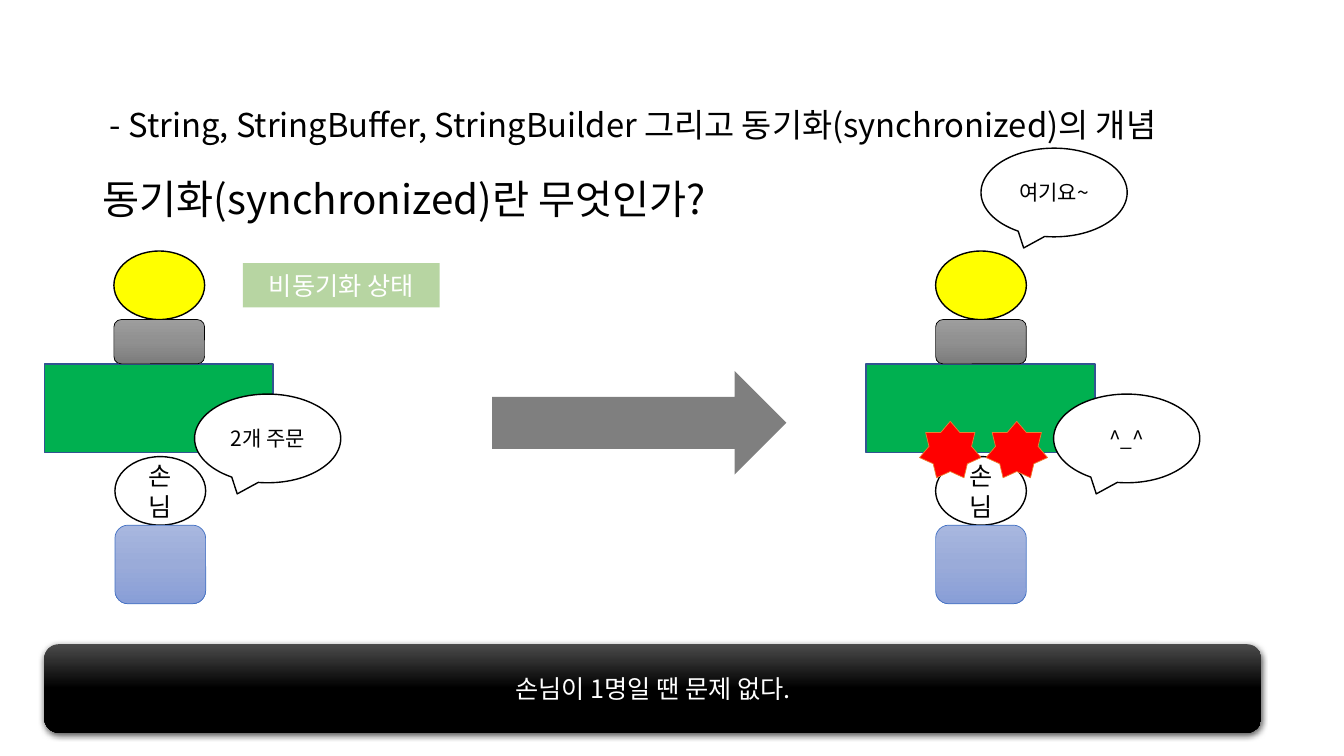
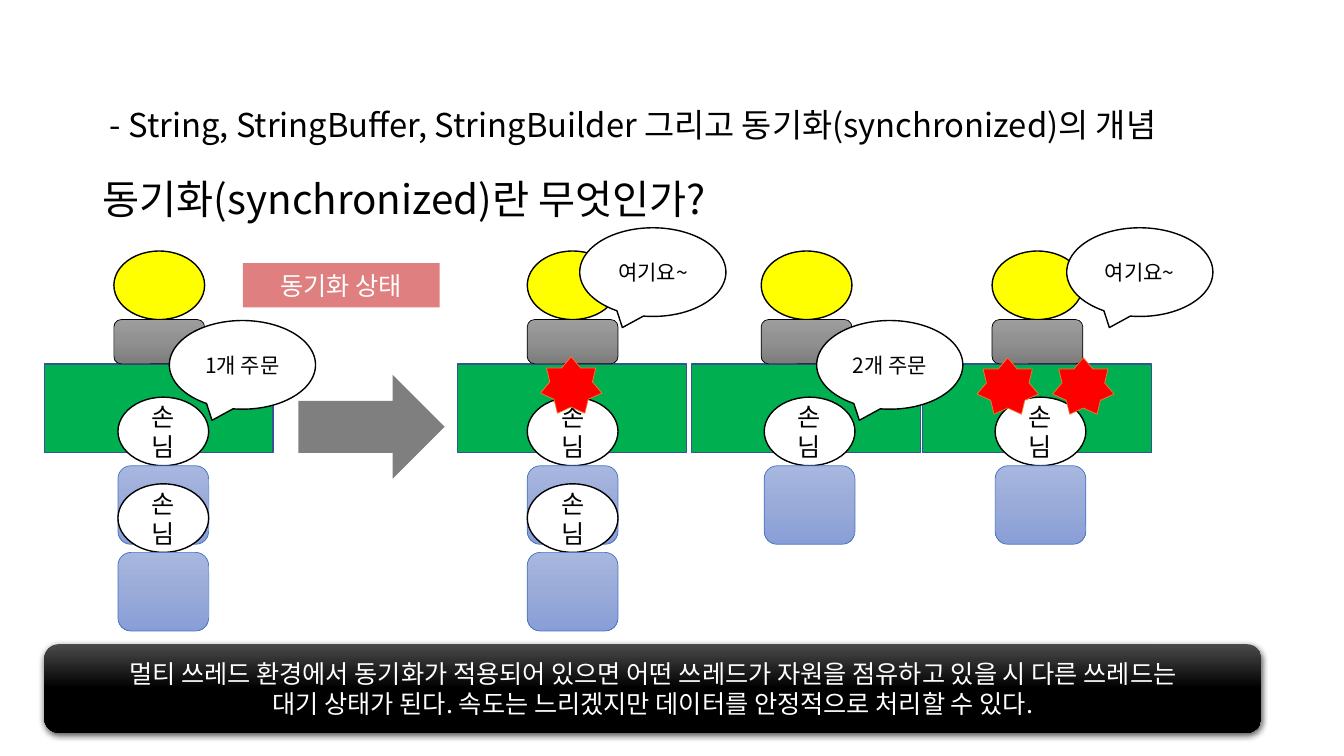
"""Two slides that explain synchronization with clerks, counters and customers."""
from copy import deepcopy

from lxml.etree import SubElement
from pptx import Presentation
from pptx.dml.color import RGBColor
from pptx.enum.shapes import MSO_SHAPE as Preset
from pptx.enum.text import MSO_ANCHOR as Anchor, PP_ALIGN as Align
from pptx.oxml.ns import qn
from pptx.util import Inches, Pt

FONT = "Noto Sans CJK KR"
COLORS = {
    "black": "000000",
    "white": "FFFFFF",
    "counter": "00B050",
    "counter_line": "325491",
    "clerk": "FFFF00",
    "customer_line": "4472C4",
    "item": "FF0000",
    "item_line": "ED7D31",
    "unsynchronized": "70AD47",
    "synchronized": "C00000",
}
GRADIENTS = {
    "clerk_body": ("9D9D9D", "909090", "7C7C7C"),
    "customer_body": ("A8B7DF", "9AABD9", "889ED7"),
    "footer": ("4B4B4B", "000000", "000000"),
}
TITLE = [
    ("- String, StringBuffer, StringBuilder 그리고 동기화(synchronized)의 개념", 23.4),
    ("동기화(synchronized)란 무엇인가?", 28.8),
]
SLIDES = [
    {
        "label": ("비동기화 상태", "unsynchronized"),
        "arrow": (4.88, 3.68, 2.92, 1.03),
        "counters": [0.44, 8.59],
        "customers": [(1.14, 4.53), (9.28, 4.53)],
        "callouts": [("2개 주문", 1.93, 3.91), ("여기요~", 9.73, 1.47), ("^_^", 10.45, 3.91)],
        "items": [(9.12, 4.18), (9.78, 4.18)],
        "footer": ["손님이 1명일 땐 문제 없다."],
    },
    {
        "label": ("동기화 상태", "synchronized"),
        "arrow": (2.96, 3.72, 1.45, 1.03),
        "counters": [0.44, 4.54, 6.86, 9.15],
        "customers": [
            (1.17, 3.94), (1.17, 4.8), (5.23, 3.94), (5.23, 4.8), (7.58, 3.94), (9.87, 3.94),
        ],
        "callouts": [
            ("1개 주문", 1.68, 3.18), ("여기요~", 5.75, 2.26),
            ("2개 주문", 8.1, 3.18), ("여기요~", 10.58, 2.26),
        ],
        "items": [(5.36, 3.54), (9.69, 3.55), (10.44, 3.55)],
        "footer": [
            "멀티 쓰레드 환경에서 동기화가 적용되어 있으면 어떤 쓰레드가 자원을 점유하고 있을 시 다른 쓰레드는",
            "대기 상태가 된다. 속도는 느리겠지만 데이터를 안정적으로 처리할 수 있다.",
        ],
    },
]
PERSON_WIDTH, HEAD_HEIGHT = 0.9, 0.68
CLERK_INSET, CLERK_TOP, COUNTER_TOP = 0.69, 2.49, 3.61


def rgb(name):
    return RGBColor.from_string(COLORS[name])


def style_paragraph(paragraph, size, color):
    for run in paragraph.runs:
        run.font.size = Pt(size)
        run.font.name = FONT
        run.font.color.rgb = rgb(color)
        SubElement(run.font._element, qn("a:ea"), typeface=FONT)


def paint_gradient(shape, stops):
    shape.fill.gradient()
    shape.fill.gradient_angle = 270
    stop_list = shape.element.spPr.find(".//" + qn("a:gsLst"))
    stop_list.append(deepcopy(stop_list[0]))
    for index, (stop, color) in enumerate(zip(shape.fill.gradient_stops, stops)):
        stop.position = index / 2
        stop.color.rgb = RGBColor.from_string(color)


def add_alpha(parent, percent):
    color = parent.find(".//" + qn("a:srgbClr"))
    SubElement(color, qn("a:alpha"), val=str(percent * 1000))


def add_shadow(shape):
    effects = shape.element.spPr.find(qn("a:effectLst"))
    shadow = SubElement(
        effects, qn("a:outerShdw"), blurRad=str(Pt(4.5)), dist=str(Pt(1.5)),
        dir="5400000", algn="ctr", rotWithShape="0",
    )
    SubElement(shadow, qn("a:srgbClr"), val=COLORS["black"])
    add_alpha(shadow, 63)


def draw(slide, preset, box, fill, line=None, width=1, lines=(), size=18, color="black", alpha=None):
    shape = slide.shapes.add_shape(preset, *map(Inches, box))
    shape.shadow.inherit = False
    if fill in GRADIENTS:
        paint_gradient(shape, GRADIENTS[fill])
    else:
        shape.fill.solid()
        shape.fill.fore_color.rgb = rgb(fill)
    if alpha:
        add_alpha(shape.element.spPr, alpha)
    if line:
        shape.line.color.rgb = rgb(line)
        shape.line.width = Pt(width)
    else:
        shape.line.fill.background()
    if lines:
        frame = shape.text_frame
        frame.word_wrap = True
        frame.vertical_anchor = Anchor.MIDDLE
        frame.text = "\n".join(lines)
        for paragraph in frame.paragraphs:
            paragraph.alignment = Align.CENTER
            style_paragraph(paragraph, size, color)
    return shape


def draw_title(slide):
    frame = slide.shapes.add_textbox(*map(Inches, (0.92, 0.5, 10.78, 1.75))).text_frame
    frame.word_wrap = True
    frame.vertical_anchor = Anchor.BOTTOM
    frame.text = "\n".join(text for text, _ in TITLE)
    for paragraph, (_, size) in zip(frame.paragraphs, TITLE):
        paragraph.line_spacing = 0.76
        style_paragraph(paragraph, size, "black")
    topic, question = frame.paragraphs
    topic._p.get_or_add_pPr().set("indent", str(Inches(0.07)))
    question.space_before = Pt(30)


def draw_clerk(slide, counter_left):
    left = counter_left + CLERK_INSET
    body_top = CLERK_TOP + HEAD_HEIGHT
    draw(slide, Preset.RECTANGLE, (counter_left, COUNTER_TOP, 2.27, 0.88), "counter", "counter_line")
    draw(slide, Preset.OVAL, (left, CLERK_TOP, PERSON_WIDTH, HEAD_HEIGHT), "clerk", "black")
    draw(slide, Preset.ROUNDED_RECTANGLE, (left, body_top, PERSON_WIDTH, COUNTER_TOP - body_top),
         "clerk_body", "black", 0.5)


def draw_customer(slide, left, top):
    draw(slide, Preset.OVAL, (left, top, PERSON_WIDTH, HEAD_HEIGHT), "white", "black", lines=["손님"])
    draw(slide, Preset.ROUNDED_RECTANGLE, (left, top + HEAD_HEIGHT, PERSON_WIDTH, 0.78),
         "customer_body", "customer_line", 0.5)


def build_slide(presentation, content):
    slide = presentation.slides.add_slide(presentation.slide_layouts[6])
    draw_title(slide)
    footer = draw(slide, Preset.ROUNDED_RECTANGLE, (0.44, 6.39, 12.07, 0.88), "footer",
                  lines=content["footer"], color="white")
    add_shadow(footer)
    draw(slide, Preset.RIGHT_ARROW, content["arrow"], "black", alpha=50)
    for left in content["counters"]:
        draw_clerk(slide, left)
    label, label_fill = content["label"]
    draw(slide, Preset.RECTANGLE, (2.41, 2.61, 1.95, 0.44), label_fill,
         lines=[label], color="white", alpha=50)
    for left, top in content["customers"]:
        draw_customer(slide, left, top)
    for text, left, top in content["callouts"]:
        draw(slide, Preset.OVAL_CALLOUT, (left, top, 1.45, 0.88), "white", "black",
             lines=[text], size=15)
    for left, top in content["items"]:
        draw(slide, Preset.STAR_7_POINT, (left, top, 0.61, 0.56), "item", "item_line", 0.5)


def main():
    presentation = Presentation()
    presentation.slide_width = Inches(13.33)
    presentation.slide_height = Inches(7.5)
    for content in SLIDES:
        build_slide(presentation, content)
    presentation.save("out.pptx")


if __name__ == "__main__":
    main()
